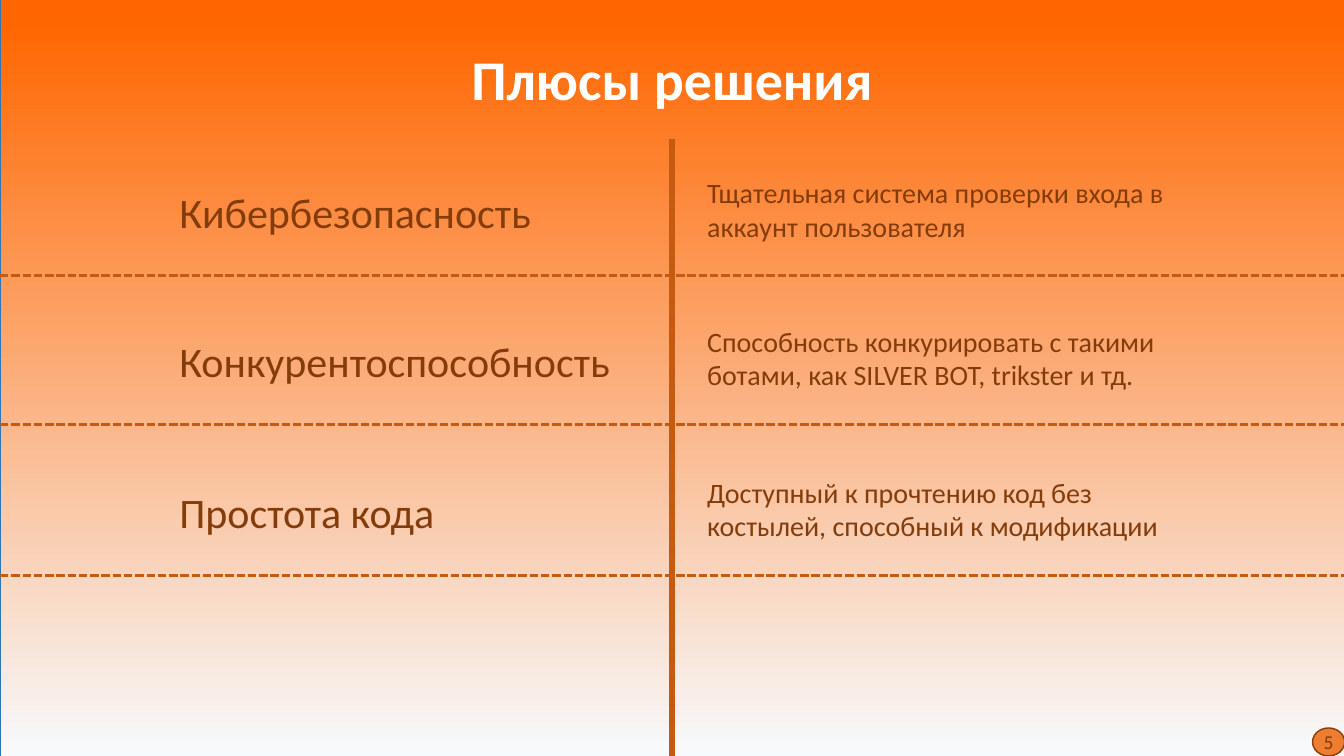
from dataclasses import dataclass

from lxml.etree import SubElement
from pptx import Presentation
from pptx.dml.color import RGBColor
from pptx.enum.dml import MSO_LINE
from pptx.enum.shapes import MSO_CONNECTOR, MSO_SHAPE
from pptx.enum.text import MSO_ANCHOR, PP_ALIGN
from pptx.oxml.ns import qn
from pptx.util import Pt

# Content: label, description, height of the line under the row
TITLE = "Плюсы решения"
PAGE_NUMBER = "5"
ROWS = [
    ("Кибербезопасность",
     "Тщательная система проверки входа в аккаунт пользователя", 197),
    ("Конкурентоспособность",
     "Способность конкурировать с такими ботами, как SILVER BOT, trikster и тд.", 303),
    ("Простота кода",
     "Доступный к прочтению код без костылей, способный к модификации", 411),
]


@dataclass(frozen=True)
class Theme:
    font: str = "Calibri"
    white: str = "FFFFFF"
    text: str = "843C0B"
    rule: str = "C55A11"
    badge: str = "ED7D31"
    frame: str = "2E75B6"
    sky: str = "FF6600"
    ground: str = "F7FAFD"
    title_size: int = 40
    label_size: int = 30
    description_size: int = 20
    number_size: int = 14


THEME = Theme()
WIDTH, HEIGHT = 960, 540
LABEL_LEFT, LABEL_WIDTH, LABEL_RISE = 121, 329, 67
DESCRIPTION_LEFT, DESCRIPTION_WIDTH, DESCRIPTION_RISE = 498, 359, 75


def rgb(value):
    return RGBColor.from_string(value)


def write(shape, text, size, color, align=PP_ALIGN.LEFT, bold=False):
    frame = shape.text_frame
    frame.word_wrap = True
    frame.text = text
    para = frame.paragraphs[0]
    para.alignment = align
    para.font.name = THEME.font
    para.font.size = Pt(size)
    para.font.bold = bold
    para.font.color.rgb = rgb(color)


def add_text(page, left, top, width, text, size):
    box = page.shapes.add_textbox(Pt(left), Pt(top), Pt(width), Pt(size * 1.4))
    write(box, text, size, THEME.text)


def add_outlined(page, kind, left, top, width, height, outline):
    shape = page.shapes.add_shape(kind, Pt(left), Pt(top), Pt(width), Pt(height))
    shape.shadow.inherit = False
    shape.line.color.rgb = rgb(outline)
    shape.line.width = Pt(1)
    return shape


def add_rule(page, x1, y1, x2, y2, weight):
    rule = page.shapes.add_connector(
        MSO_CONNECTOR.STRAIGHT, Pt(x1), Pt(y1), Pt(x2), Pt(y2))
    rule.line.color.rgb = rgb(THEME.rule)
    rule.line.width = Pt(weight)
    SubElement(rule._element.spPr, qn("a:effectLst"))
    return rule


def main():
    deck = Presentation()
    deck.slide_width, deck.slide_height = Pt(WIDTH), Pt(HEIGHT)
    page = deck.slides.add_slide(deck.slide_layouts[5])

    # Gradient backdrop, moved behind the title
    backdrop = add_outlined(page, MSO_SHAPE.RECTANGLE, 0, -0.5, WIDTH + 1, HEIGHT + 1,
                            THEME.frame)
    backdrop.fill.gradient()
    backdrop.fill.gradient_angle = 270
    stops = ((0.03, THEME.sky), (1, THEME.ground))
    for stop, (position, color) in zip(backdrop.fill.gradient_stops, stops):
        stop.position = position
        stop.color.rgb = rgb(color)
    page.shapes.title._element.addprevious(backdrop._element)

    # Title
    title = page.shapes.title
    title.left, title.top, title.width, title.height = Pt(0), Pt(28.5), Pt(WIDTH), Pt(71)
    title.text_frame.vertical_anchor = MSO_ANCHOR.TOP
    write(title, TITLE, THEME.title_size, THEME.white, PP_ALIGN.CENTER, bold=True)

    # Page number badge
    badge = add_outlined(page, MSO_SHAPE.OVAL, 937.5, 520, 23, 20, THEME.text)
    badge.fill.solid()
    badge.fill.fore_color.rgb = rgb(THEME.badge)
    frame = badge.text_frame
    frame.margin_left = frame.margin_right = frame.margin_top = frame.margin_bottom = 0
    frame.vertical_anchor = MSO_ANCHOR.MIDDLE
    write(badge, PAGE_NUMBER, THEME.number_size, THEME.text, PP_ALIGN.CENTER)

    # Column divider and rows
    add_rule(page, WIDTH / 2, 99.5, WIDTH / 2, HEIGHT, 4)
    for label, description, bottom in ROWS:
        add_text(page, LABEL_LEFT, bottom - LABEL_RISE, LABEL_WIDTH,
                 label, THEME.label_size)
        add_text(page, DESCRIPTION_LEFT, bottom - DESCRIPTION_RISE, DESCRIPTION_WIDTH,
                 description, THEME.description_size)
        add_rule(page, 0, bottom, WIDTH, bottom, 2).line.dash_style = MSO_LINE.SQUARE_DOT

    deck.save("out.pptx")


if __name__ == "__main__":
    main()
